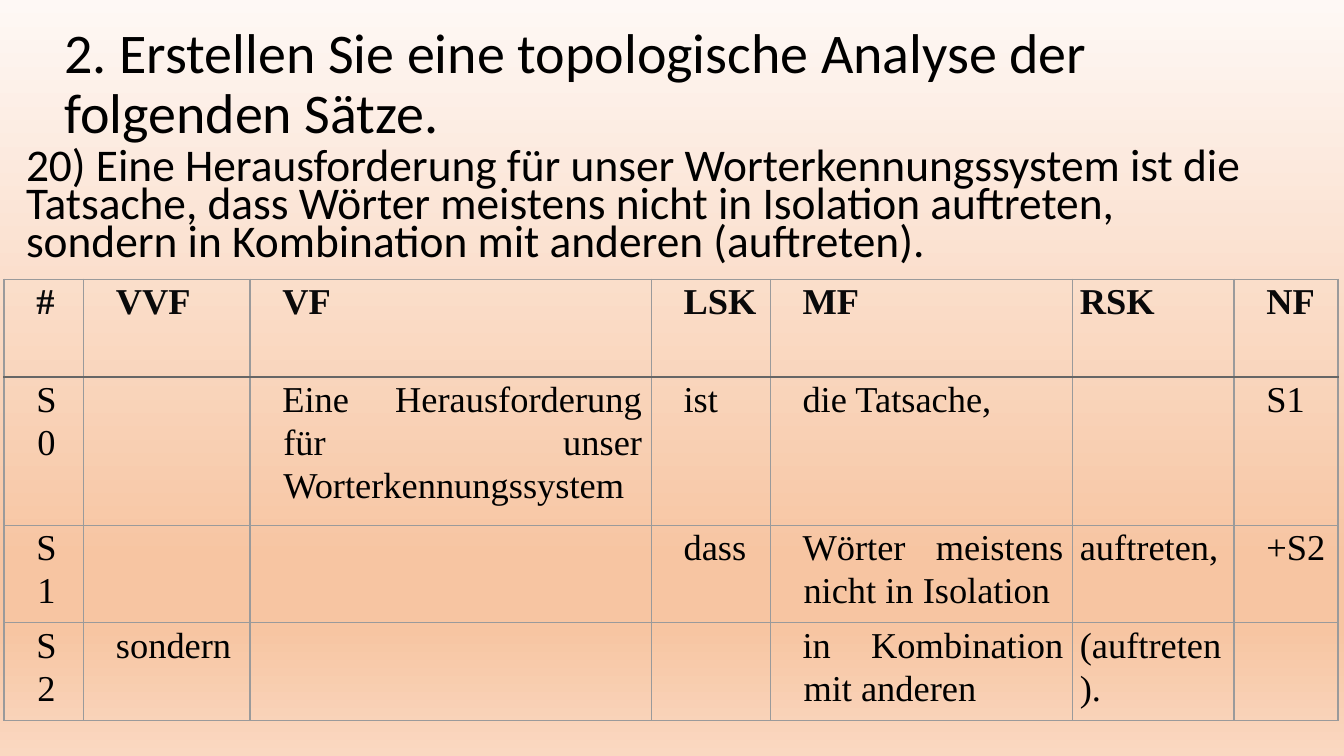
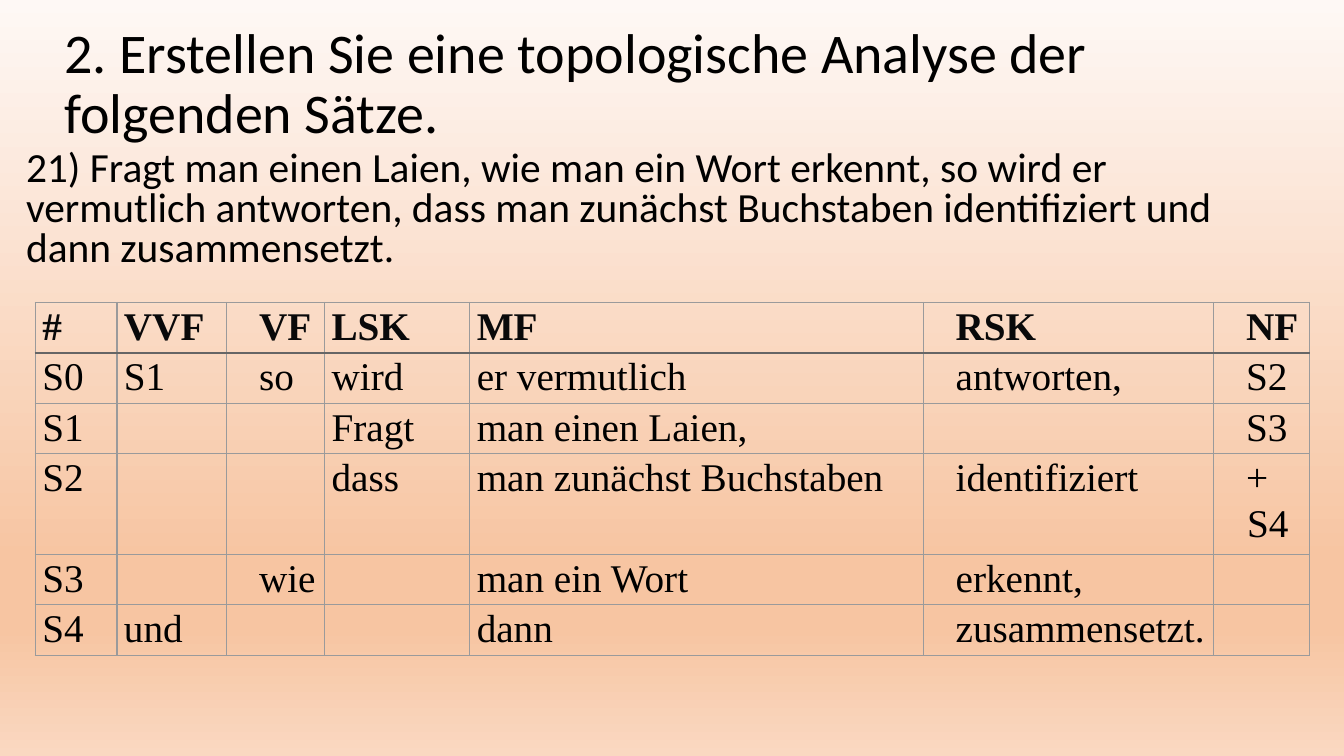
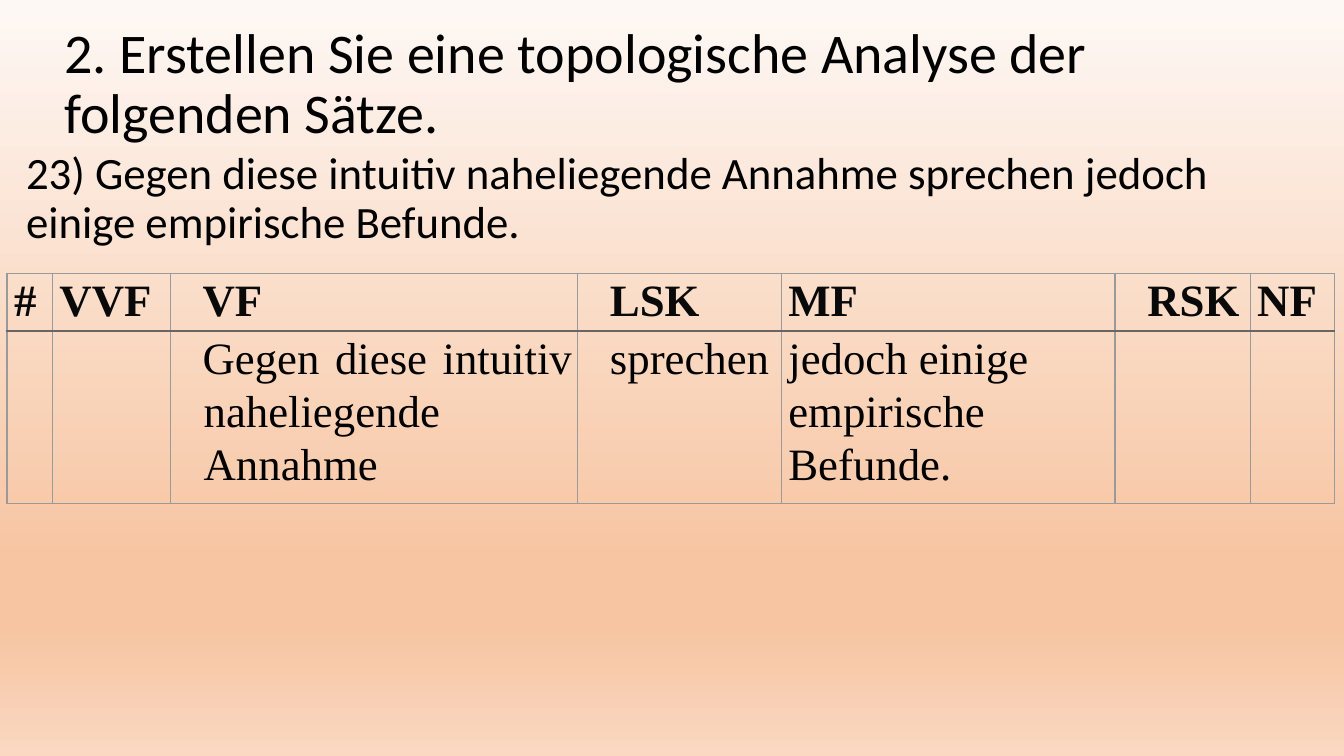
from dataclasses import dataclass

from lxml.etree import SubElement
from pptx import Presentation
from pptx.dml.color import RGBColor
from pptx.enum.text import MSO_ANCHOR as Anchor, PP_ALIGN as Align
from pptx.oxml.ns import qn
from pptx.util import Inches, Pt

BLACK = RGBColor(0x00, 0x00, 0x00)
HEADER_INK = RGBColor(0x09, 0x09, 0x0A)
GRID_LINE = RGBColor(0x9A, 0x9A, 0x9B)
HEADER_LINE = RGBColor(0x66, 0x66, 0x66)
BACKDROP = (
    (0, RGBColor(0xFE, 0xF8, 0xF5)),
    (74, RGBColor(0xF7, 0xC5, 0xA2)),
    (83, RGBColor(0xF7, 0xC5, 0xA2)),
    (100, RGBColor(0xFA, 0xD8, 0xC1)),
)

WIDTH, HEIGHT = 13.33, 7.5
TITLE_BOX = (0.54, 0.12, 11.5, 1.45)
SENTENCE_BOX = (0.16, 1.45, 12.26, 5.31)
TITLE = "2. Erstellen Sie eine topologische Analyse der folgenden Sätze."
FIELDS = ("#", "VVF", "VF", "LSK", "MF", "RSK", "NF")
INDENT, HANGING = 0.26, -0.01


@dataclass
class Exercise:
    sentence: str
    sentence_size: float
    sentence_spacing: float
    corner: tuple
    columns: tuple
    heights: tuple
    size: int
    right_margin: float
    indented: tuple
    justified: tuple
    clauses: tuple


EXERCISES = (
    Exercise(
        sentence="20) Eine Herausforderung für unser Worterkennungssystem ist die "
                 "Tatsache, dass Wörter meistens nicht in Isolation auftreten, "
                 "sondern in Kombination mit anderen (auftreten).",
        sentence_size=32.4, sentence_spacing=0.7,
        corner=(0.04, 2.77),
        columns=(0.79, 1.65, 3.98, 1.18, 3, 1.6, 1.03),
        heights=(0.97, 1.47, 0.97, 0.97),
        size=26, right_margin=0.09,
        indented=("#", "VVF", "VF", "LSK", "MF", "NF"), justified=FIELDS,
        clauses=(
            ("S0", "", "Eine Herausforderung für unser Worterkennungssystem",
             "ist", "die Tatsache,", "", "S1"),
            ("S1", "", "", "dass", "Wörter meistens nicht in Isolation",
             "auftreten,", "+S2"),
            ("S2", "sondern", "", "", "in Kombination mit anderen",
             "(auftreten).", ""),
        ),
    ),
    Exercise(
        sentence="21) Fragt man einen Laien, wie man ein Wort erkennt, so wird er "
                 "vermutlich antworten, dass man zunächst Buchstaben identifiziert "
                 "und dann zusammensetzt.",
        sentence_size=29.6, sentence_spacing=0.8,
        corner=(0.35, 3),
        columns=(0.81, 1.09, 0.97, 1.44, 4.5, 2.88, 0.95),
        heights=(0.46, 0.46, 0.46, 0.92, 0.46, 0.46),
        size=28, right_margin=0.07,
        indented=("VF", "RSK", "NF"), justified=(),
        clauses=(
            ("S0", "S1", "so", "wird", "er vermutlich", "antworten,", "S2"),
            ("S1", "", "", "Fragt", "man einen Laien,", "", "S3"),
            ("S2", "", "", "dass", "man zunächst Buchstaben", "identifiziert", "+ S4"),
            ("S3", "", "wie", "", "man ein Wort", "erkennt,", ""),
            ("S4", "und", "", "", "dann", "zusammensetzt.", ""),
        ),
    ),
    Exercise(
        sentence="23) Gegen diese intuitiv naheliegende Annahme sprechen jedoch "
                 "einige empirische Befunde.",
        sentence_size=32, sentence_spacing=0.9,
        corner=(0.07, 2.71),
        columns=(0.45, 1.17, 4.04, 2.02, 3.31, 1.34, 0.84),
        heights=(0.53, 1.58),
        size=32, right_margin=0.05,
        indented=("VF", "LSK", "RSK"), justified=("VF",),
        clauses=(
            ("", "", "Gegen diese intuitiv naheliegende Annahme", "sprechen",
             "jedoch einige empirische Befunde.", "", ""),
        ),
    ),
)


def apply(target, **values):
    for name, value in values.items():
        setattr(target, name, value)


def write(para, text, font, size, color=BLACK, bold=False, **layout):
    apply(para, **layout)
    span = para.add_run()
    span.text = text
    apply(span.font, name=font, size=Pt(size), bold=bold)
    span.font.color.rgb = color


def paint_background(master):
    fill = master.background.fill
    fill.gradient()
    fill.gradient_angle = 270
    stops = master.element.find(".//" + qn("a:gsLst"))
    for stop in list(stops):
        stops.remove(stop)
    for share, color in BACKDROP:
        stop = SubElement(stops, qn("a:gs"), pos=str(share * 1000))
        SubElement(stop, qn("a:srgbClr"), val=str(color))


def add_text(page, area, text, size, anchor=Anchor.TOP, **layout):
    box = page.shapes.add_textbox(*map(Inches, area))
    apply(box.text_frame, word_wrap=True, vertical_anchor=anchor)
    write(box.text_frame.paragraphs[0], text, "Calibri", size, **layout)


def draw_borders(cell, edges):
    properties = cell._tc.get_or_add_tcPr()
    for position, side in enumerate("LRTB"):
        color, width = edges.get(side, (GRID_LINE, 1))
        line = SubElement(properties, qn(f"a:ln{side}"), w=str(Pt(width)))
        fill = SubElement(line, qn("a:solidFill"))
        SubElement(fill, qn("a:srgbClr"), val=str(color))
        properties.insert(position, line)


def fill_cell(cell, field, text, is_header, exercise):
    apply(cell, margin_left=Inches(0.07), margin_right=Inches(exercise.right_margin),
          margin_top=0, margin_bottom=0)
    if not text:
        return
    para = cell.text_frame.paragraphs[0]
    write(para, text, "Times New Roman", exercise.size,
          color=HEADER_INK if is_header else BLACK, bold=is_header,
          alignment=Align.JUSTIFY if field in exercise.justified else Align.LEFT,
          line_spacing=1.07, space_after=Pt(0.2))
    properties = para._p.get_or_add_pPr()
    properties.set("marL", str(Inches(INDENT if field in exercise.indented else 0)))
    properties.set("indent", str(Inches(HANGING)))


def add_field_table(page, exercise):
    rows = (FIELDS, *exercise.clauses)
    area = (*exercise.corner, sum(exercise.columns), sum(exercise.heights))
    table = page.shapes.add_table(len(rows), len(FIELDS), *map(Inches, area)).table
    apply(table, first_row=False, horz_banding=False)
    for column, width in zip(table.columns, exercise.columns):
        column.width = Inches(width)
    for row, height in zip(table.rows, exercise.heights):
        row.height = Inches(height)
    header_edges = {0: {"B": (HEADER_LINE, 1.5)}, 1: {"T": (HEADER_LINE, 1.5)}}
    for row_index, texts in enumerate(rows):
        for column_index, (field, text) in enumerate(zip(FIELDS, texts)):
            cell = table.cell(row_index, column_index)
            cell.fill.background()
            draw_borders(cell, header_edges.get(row_index, {}))
            fill_cell(cell, field, text, row_index == 0, exercise)


def add_exercise(deck, exercise):
    page = deck.slides.add_slide(deck.slide_layouts[6])
    add_text(page, TITLE_BOX, TITLE, 40, Anchor.MIDDLE, line_spacing=0.9)
    add_text(page, SENTENCE_BOX, exercise.sentence, exercise.sentence_size,
             line_spacing=exercise.sentence_spacing, space_before=Pt(10))
    add_field_table(page, exercise)


def main():
    deck = Presentation()
    apply(deck, slide_width=Inches(WIDTH), slide_height=Inches(HEIGHT))
    paint_background(deck.slide_master)
    for exercise in EXERCISES:
        add_exercise(deck, exercise)
    deck.save("out.pptx")


if __name__ == "__main__":
    main()
